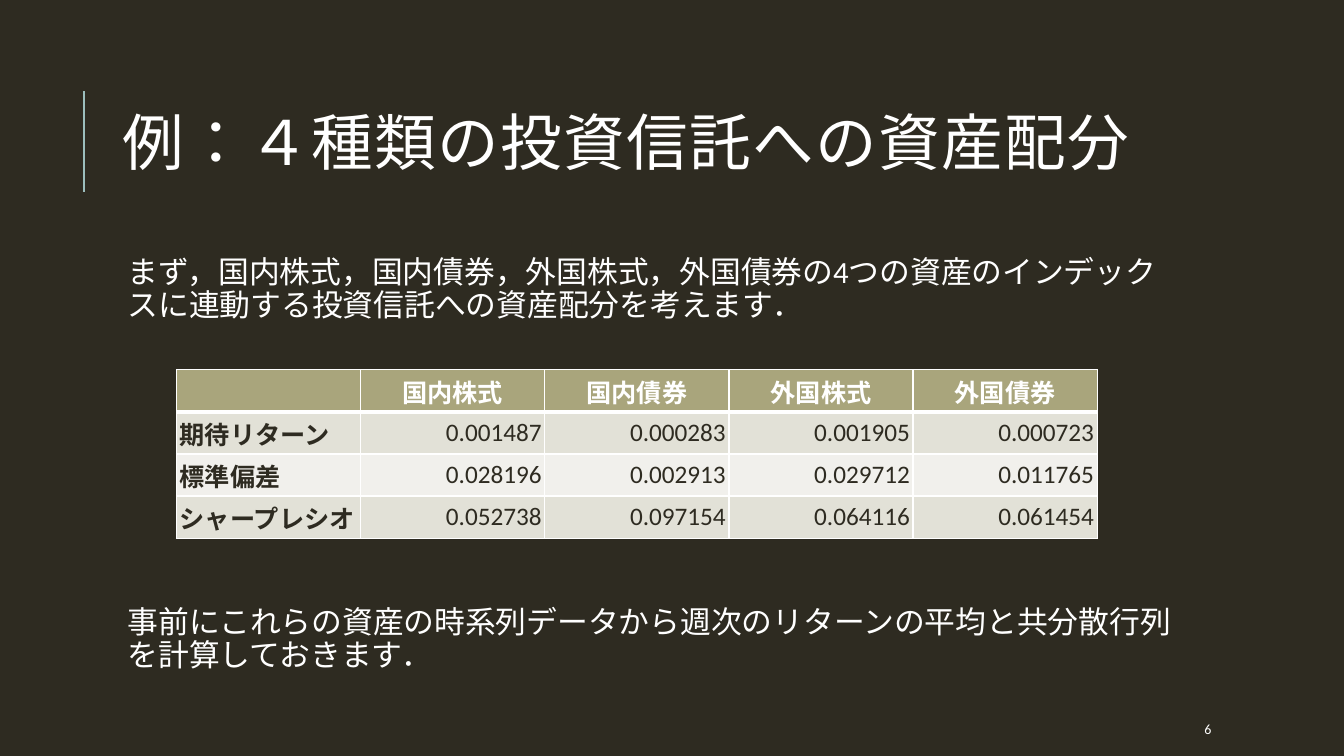
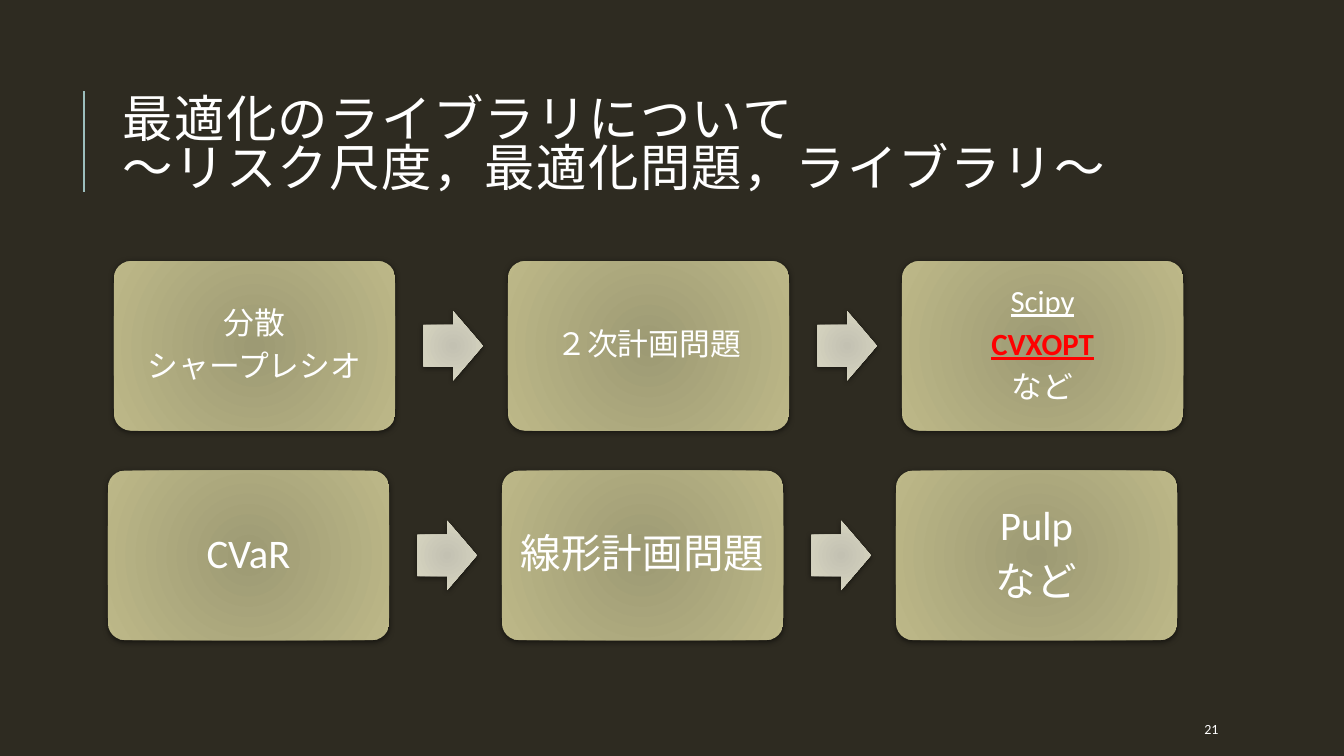
import lxml.etree
import pptx
import pptx.dml.color
import pptx.enum.lang
import pptx.enum.shapes
import pptx.enum.text
import pptx.oxml.ns
import pptx.util

Cm, Pt = pptx.util.Cm, pptx.util.Pt
RGBColor = pptx.dml.color.RGBColor
ALIGN = pptx.enum.text.PP_ALIGN
MIDDLE = pptx.enum.text.MSO_ANCHOR.MIDDLE
SHAPE = pptx.enum.shapes.MSO_SHAPE
qn = pptx.oxml.ns.qn

# Shared look
FONT = "Calibri"
DARK = RGBColor(0x2E, 0x2B, 0x21)
WHITE = RGBColor(0xFF, 0xFF, 0xFF)
RED = RGBColor(0xFF, 0x00, 0x00)
TEAL = RGBColor(0x9C, 0xBE, 0xBD)
HEAD = RGBColor(0xA9, 0xA5, 0x7C)
BANDS = [RGBColor(0xE2, 0xE1, 0xD7), RGBColor(0xF1, 0xF0, 0xEC)]
BOX = [RGBColor(0x9D, 0x9A, 0x74), RGBColor(0xBD, 0xB8, 0x88)]
ARROW = [RGBColor(0xC3, 0xC1, 0xB2), RGBColor(0xDA, 0xD8, 0xC3)]
LEFT, WIDTH = 2.84, 27

# Content of the asset slide
ASSETS = {
    "title": ["例：４種類の投資信託への資産配分"], "size": 44, "page": "6",
    "notes": [
        (6.35, "まず，国内株式，国内債券，外国株式，外国債券の4つの資産の"
               "インデックスに連動する投資信託への資産配分を考えます．"),
        (15.17, "事前にこれらの資産の時系列データから週次のリターンの平均と"
                "共分散行列を計算しておきます．"),
    ],
    "table": [
        ("", "国内株式", "国内債券", "外国株式", "外国債券"),
        ("期待リターン", "0.001487", "0.000283", "0.001905", "0.000723"),
        ("標準偏差", "0.028196", "0.002913", "0.029712", "0.011765"),
        ("シャープレシオ", "0.052738", "0.097154", "0.064116", "0.061454"),
    ],
}

# Content of the library slide: each flow is a row of boxes, each box a list of lines
LINK = {"line": True}
STRONG = {"line": True, "bold": True, "color": RED}
LIBS = {
    "title": ["最適化のライブラリについて", "〜リスク尺度，最適化問題，ライブラリ〜"],
    "size": 36, "page": "21",
    "flows": [
        {"left": 2.87, "top": 6.58, "size": 22, "gap": 7, "boxes": [
            [("分散", {}), ("シャープレシオ", {})],
            [("２次計画問題", {})],
            [("Scipy", LINK), ("CVXOPT", STRONG), ("など", {})]]},
        {"left": 2.72, "top": 11.86, "size": 29, "gap": 8, "boxes": [
            [("CVaR", {})],
            [("線形計画問題", {})],
            [("Pulp", {}), ("など", {})]]},
    ],
}


def add_run(para, text, size, color=WHITE, bold=False, line=False):
    run = para.add_run()
    run.text = text
    font = run.font
    font.name, font.size, font.bold = FONT, Pt(size), bold
    font.underline = line
    font.color.rgb = color
    font.language_id = pptx.enum.lang.MSO_LANGUAGE_ID.JAPANESE
    return run


def add_box(slide, left, top, width, height):
    frame = slide.shapes.add_textbox(Cm(left), Cm(top), Cm(width), Cm(height)).text_frame
    frame.word_wrap = True
    return frame


def add_base(deck, data):
    """Blank slide with accent line, title and page number."""
    slide = deck.slides.add_slide(deck.slide_layouts[6])
    line = slide.shapes.add_connector(
        pptx.enum.shapes.MSO_CONNECTOR.STRAIGHT, Cm(2.12), Cm(4.83), Cm(2.12), Cm(2.29))
    line.line.color.rgb, line.line.width = TEAL, Pt(1.5)
    lxml.etree.SubElement(line._element.spPr, qn("a:effectLst"))

    frame = add_box(slide, LEFT, 1.63, WIDTH, 4.17)
    frame.vertical_anchor = MIDDLE
    para = frame.paragraphs[0]
    para.line_spacing = 0.8
    for row, text in enumerate(data["title"]):
        if row:
            para.add_line_break()
        run = add_run(para, text, data["size"])
        run.font._element.set("spc", "100")

    frame = add_box(slide, 30.1, 17.98, 2.69, 0.76)
    frame.vertical_anchor = MIDDLE
    add_run(frame.paragraphs[0], data["page"], 10)
    return slide


def add_edges(cell, widths):
    """Draw white cell borders; widths in points by side."""
    props = cell._tc.get_or_add_tcPr()
    for spot, side in enumerate("LRTB"):
        edge = lxml.etree.Element(qn("a:ln" + side), w=str(Pt(widths.get(side, 1))))
        fill = lxml.etree.SubElement(edge, qn("a:solidFill"))
        lxml.etree.SubElement(fill, qn("a:srgbClr"), val=str(WHITE))
        props.insert(spot, edge)


def add_grid(slide, rows):
    wide, high = 4.64, 1.06
    count = len(rows[0])
    grid = slide.shapes.add_table(len(rows), count, Cm(4.45), Cm(9.32),
                                  Cm(wide * count), Cm(high * len(rows))).table
    grid.horz_banding = False
    for col in grid.columns:
        col.width = Cm(wide)
    for r, row in enumerate(rows):
        grid.rows[r].height = Cm(high)
        for c, text in enumerate(row):
            cell = grid.cell(r, c)
            cell.margin_left = cell.margin_right = Cm(0.08)
            cell.margin_top = cell.margin_bottom = Cm(0.08)
            cell.vertical_anchor = MIDDLE
            cell.fill.solid()
            cell.fill.fore_color.rgb = BANDS[(r - 1) % 2] if r else HEAD
            add_edges(cell, {0: {"B": 3}, 1: {"T": 3}}.get(r, {}))
            para = cell.text_frame.paragraphs[0]
            para.alignment = (ALIGN.CENTER if r == 0
                              else ALIGN.RIGHT if c else ALIGN.LEFT)
            if text:
                add_run(para, text, 18, DARK if r else WHITE, r == 0 or c == 0)


def add_glow(slide, kind, place, tones, adjust):
    """Shape with a round gradient and a soft shadow."""
    shape = slide.shapes.add_shape(kind, *(Cm(n) for n in place))
    for spot, value in enumerate(adjust):
        shape.adjustments[spot] = value
    shape.line.fill.background()
    shape.fill.gradient()
    for stop, tone in zip(shape.fill.gradient_stops, tones):
        stop.color.rgb = tone
    props = shape._element.spPr
    grad = props.find(qn("a:gradFill"))
    grad.remove(grad.find(qn("a:lin")))
    round_ = lxml.etree.SubElement(grad, qn("a:path"), path="circle")
    lxml.etree.SubElement(round_, qn("a:fillToRect"), {side: "100000" for side in "ltrb"})
    shape.shadow.inherit = False
    shade = lxml.etree.SubElement(
        props.find(qn("a:effectLst")), qn("a:outerShdw"), blurRad=str(Pt(4)),
        dist=str(Pt(1)), dir="5400000", rotWithShape="0")
    black = lxml.etree.SubElement(shade, qn("a:srgbClr"), val="000000")
    lxml.etree.SubElement(black, qn("a:alpha"), val="50000")
    return shape


def add_flow(slide, flow):
    wide, high, step = 7.09, 4.27, 9.93
    tip_w, tip_h, tip_x = 1.5, 1.75, 7.8
    for spot, lines in enumerate(flow["boxes"]):
        left, top = flow["left"] + spot * step, flow["top"]
        shape = add_glow(slide, SHAPE.ROUNDED_RECTANGLE, (left, top, wide, high), BOX, [0.1])
        frame = shape.text_frame
        frame.word_wrap = True
        frame.vertical_anchor = MIDDLE
        frame.margin_left = frame.margin_right = Cm(0.23)
        for row, (text, style) in enumerate(lines):
            para = frame.add_paragraph() if row else frame.paragraphs[0]
            para.alignment = ALIGN.CENTER
            para.line_spacing = 0.9
            para.space_after = Pt(flow["gap"])
            add_run(para, text, flow["size"], **style)
        if spot < len(flow["boxes"]) - 1:
            place = (left + tip_x, top + (high - tip_h) / 2, tip_w, tip_h)
            add_glow(slide, SHAPE.RIGHT_ARROW, place, ARROW, [0.6, 0.5])


def main():
    deck = pptx.Presentation()
    deck.slide_width, deck.slide_height = Cm(33.87), Cm(19.05)
    back = deck.slide_master.background.fill
    back.solid()
    back.fore_color.rgb = DARK

    # Asset slide
    slide = add_base(deck, ASSETS)
    for top, text in ASSETS["notes"]:
        frame = add_box(slide, LEFT, top, WIDTH, 2)
        frame.margin_left = Cm(0.38)
        frame.margin_right = frame.margin_top = Cm(0.13)
        para = frame.paragraphs[0]
        para.line_spacing = 0.9
        add_run(para, text, 22)
    add_grid(slide, ASSETS["table"])

    # Library slide
    slide = add_base(deck, LIBS)
    for flow in LIBS["flows"]:
        add_flow(slide, flow)

    deck.save("out.pptx")


if __name__ == "__main__":
    main()
